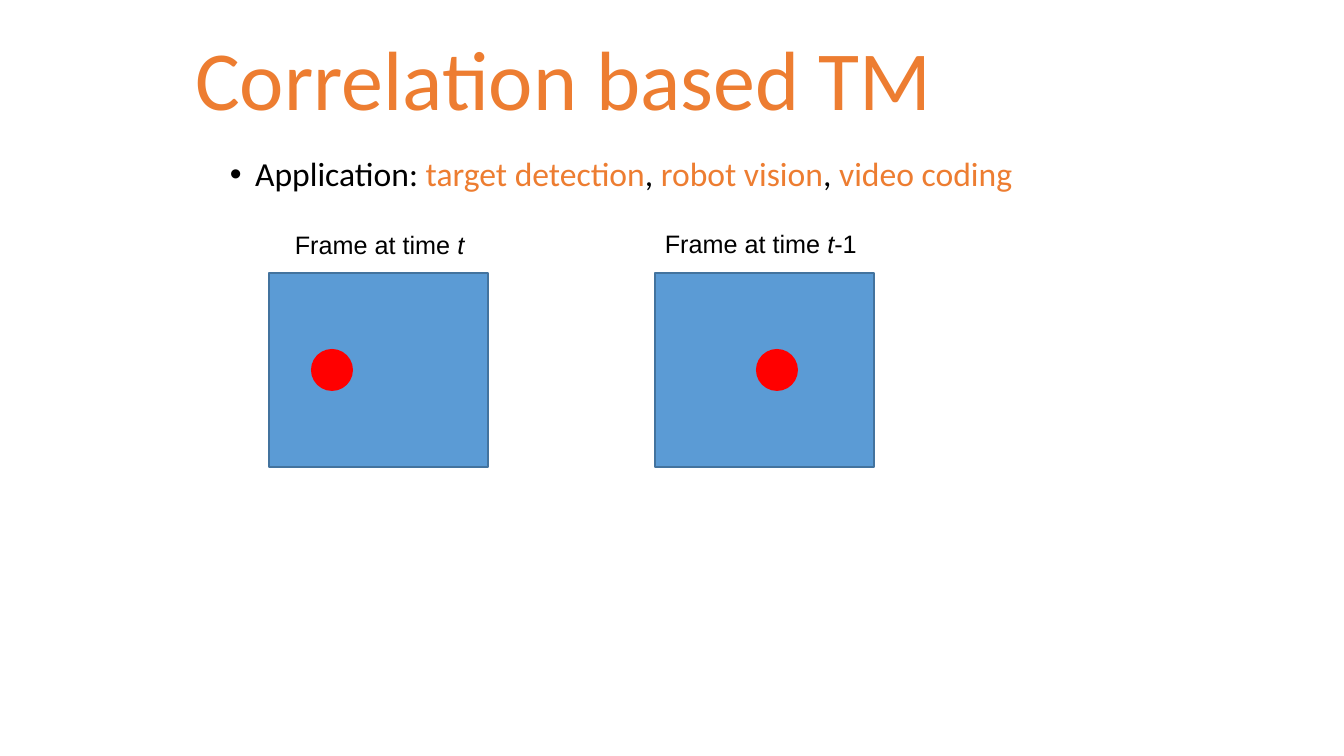
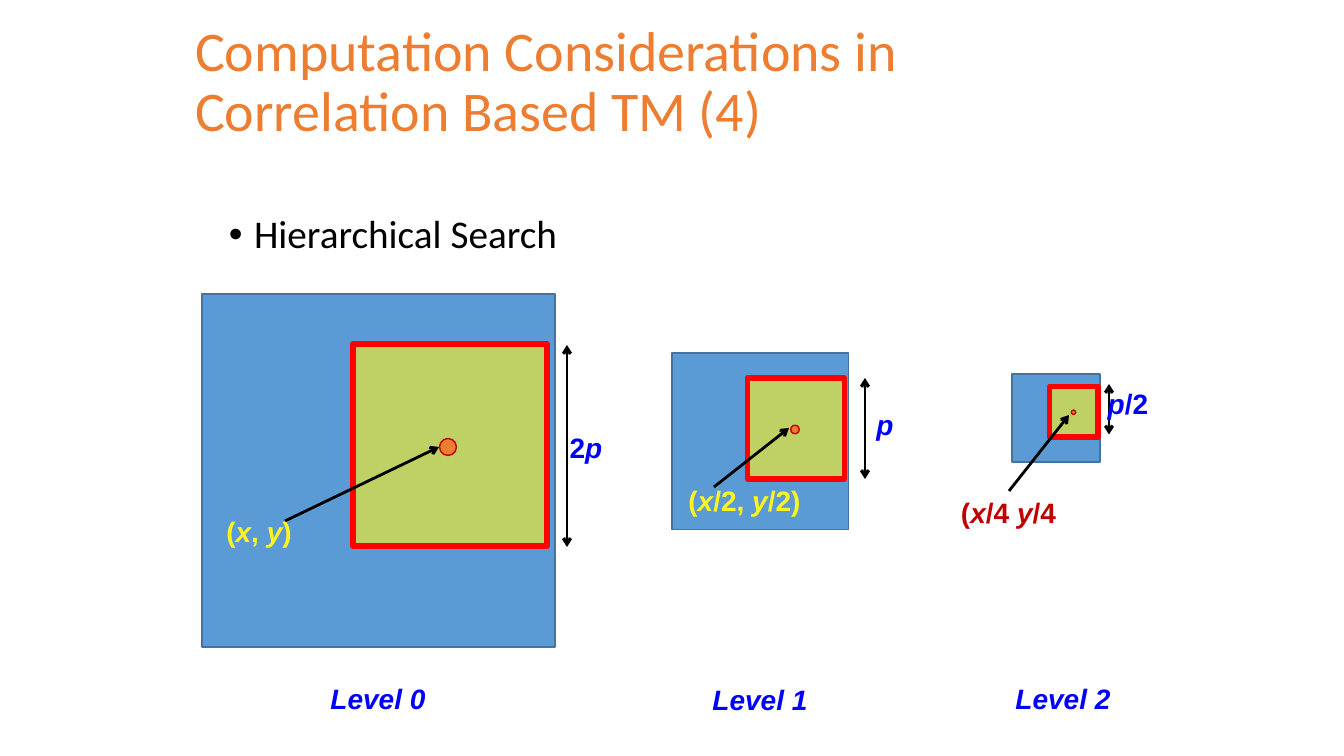
from lxml import etree
from pptx import Presentation
from pptx.dml.color import RGBColor
from pptx.enum.shapes import MSO_CONNECTOR, MSO_SHAPE
from pptx.enum.text import MSO_ANCHOR, MSO_AUTO_SIZE, PP_ALIGN
from pptx.oxml.ns import qn
from pptx.util import Emu, Pt

SCALE = 914400 / 100.8
RECT, OVAL = MSO_SHAPE.RECTANGLE, MSO_SHAPE.OVAL
LINE = MSO_CONNECTOR.STRAIGHT
LEFT, MID, JUST = PP_ALIGN.LEFT, PP_ALIGN.CENTER, PP_ALIGN.JUSTIFY

BLACK, ORANGE, RED = "000000", "ED7D31", "FF0000"
SKY, EDGE = "5B9BD5", "43739E"
YELLOW, MAROON, BLUE = "FFF41D", "C00000", "0000FF"


def px(num):
    """Turn pixels into EMU."""
    return Emu(round(num * SCALE))


def box(*nums):
    """Turn several pixel lengths into EMU."""
    return [px(num) for num in nums]


def tint(code):
    """Turn a hex string into a colour."""
    return RGBColor.from_string(code)


def add_runs(para, text, size, color, font, bold=False, accent=None):
    """Add runs; parts between underscores get the accent colour, or italics."""
    for num, part in enumerate(text.split("_")):
        if not part:
            continue
        odd = num % 2 == 1
        run = para.add_run()
        run.text = part
        run.font.name = font
        run.font.size = Pt(size)
        run.font.bold = bold
        run.font.italic = odd and accent is None
        run.font.color.rgb = tint(accent if odd and accent else color)


def add_title(deck, text, size):
    """Add a title-only slide and set its title."""
    slide = deck.slides.add_slide(deck.slide_layouts[5])
    title = slide.shapes.title
    title.left, title.top, title.width, title.height = box(185, 33, 975, 101)
    frame = title.text_frame
    frame.auto_size = MSO_AUTO_SIZE.NONE
    frame.word_wrap = True
    frame.vertical_anchor = MSO_ANCHOR.MIDDLE
    para = frame.paragraphs[0]
    para.alignment = LEFT
    para.line_spacing = 0.9
    add_runs(para, text, size, ORANGE, "Calibri")
    return slide


def add_text(slide, place, align):
    """Add a wrapping text box and return its paragraph."""
    frame = slide.shapes.add_textbox(*box(*place)).text_frame
    frame.word_wrap = True
    para = frame.paragraphs[0]
    para.alignment = align
    return para


def add_label(slide, place, text, color):
    """Add a bold centred label."""
    add_runs(add_text(slide, place, MID), text, 20, color, "Arial", bold=True)


def add_bullet(slide, place, text, size):
    """Add a bulleted line with orange accents."""
    para = add_text(slide, place, JUST)
    para.line_spacing = 0.9
    para.space_before = Pt(10)
    props = para._p.get_or_add_pPr()
    props.set("marL", str(px(25.2)))
    props.set("indent", str(-px(25.2)))
    etree.SubElement(props, qn("a:buFont")).set("typeface", "Arial")
    etree.SubElement(props, qn("a:buChar")).set("char", "•")
    add_runs(para, text, size, BLACK, "Calibri", accent=ORANGE)


def add_form(slide, kind, place, fill, edge=None, width=1, alpha=None):
    """Add a filled shape, with an edge or a see-through fill if asked."""
    form = slide.shapes.add_shape(kind, *box(*place))
    form.shadow.inherit = False
    form.fill.solid()
    form.fill.fore_color.rgb = tint(fill)
    if alpha:
        color = form.fill._xPr.find(".//" + qn("a:srgbClr"))
        etree.SubElement(color, qn("a:alpha")).set("val", str(alpha * 1000))
    if edge:
        form.line.color.rgb = tint(edge)
        form.line.width = Pt(width)
    else:
        form.line.fill.background()


def add_arrow(slide, start, end, both=False):
    """Add a black arrow, with a head at the end or at both ends."""
    arrow = slide.shapes.add_connector(LINE, *box(*start, *end))
    arrow.line.color.rgb = tint(BLACK)
    arrow.line.width = Pt(2)
    stroke = arrow.line._get_or_add_ln()
    for tag in ("a:headEnd", "a:tailEnd") if both else ("a:tailEnd",):
        etree.SubElement(stroke, qn(tag)).set("type", "arrow")
    etree.SubElement(arrow._element.spPr, qn("a:effectLst"))


def add_frame(slide, left, ball, label, text):
    """Add a video frame with a red ball and a caption."""
    add_form(slide, RECT, (left, 273, 219, 194), SKY, EDGE)
    add_form(slide, OVAL, (ball, 349, 42, 42), RED)
    add_runs(add_text(slide, label, LEFT), text, 18, BLACK, "Arial")


def add_level(slide, step, left, top, tail, tip, span):
    """Add one search level; each step halves all its sizes."""
    part = 0.5 ** step
    side, dot = 353 * part, 17 * part
    add_form(slide, RECT, (left, top, side, side), SKY, EDGE)
    window = (left + 151 * part, top + 50 * part, 194 * part, 202 * part)
    add_form(slide, RECT, window, YELLOW, RED, 4, 61)
    spot = (left + 246 * part - dot / 2, top + 153 * part - dot / 2, dot, dot)
    add_form(slide, OVAL, spot, ORANGE, MAROON)
    add_arrow(slide, tail, tip)
    across, high = span
    add_arrow(slide, (across, high), (across, high + 202 * part), both=True)


def show_frames(deck):
    """Build the slide with two video frames."""
    slide = add_title(deck, "Correlation based TM", 60)
    add_bullet(slide, (220, 153, 905, 74),
               "Application: _target detection_, _robot vision_, _video coding_", 24)
    add_frame(slide, 269, 311, (285, 224, 202, 40), "Frame at time _t_")
    add_frame(slide, 655, 756, (655, 223, 219, 40), "Frame at time _t_-1")


def show_search(deck):
    """Build the slide with three search levels."""
    slide = add_title(
        deck, "Computation Considerations in Correlation Based TM (4)", 40)
    add_bullet(slide, (219, 210, 905, 68), "Hierarchical Search", 28)
    levels = [
        (202, 294, (285, 521), (439, 447), (567, 345)),
        (672, 353, (714, 487), (789, 428), (865, 378)),
        (1012, 374, (1009, 491), (1069, 415), (1109, 384)),
    ]
    for step, level in enumerate(levels):
        add_level(slide, step, *level)
    labels = [
        (202, 510, 114, "(_x_, _y_)", YELLOW),
        (667, 479, 155, "(_x_/2, _y_/2)", YELLOW),
        (931, 491, 155, "(_x_/4 _y_/4", MAROON),
        (554, 426, 64, "2_p_", BLUE),
        (853, 403, 64, "_p_", BLUE),
        (1096, 382, 64, "_p_/2", BLUE),
        (281, 677, 194, "_Level 0_", BLUE),
        (663, 678, 194, "_Level 1_", BLUE),
        (966, 677, 194, "_Level 2_", BLUE),
    ]
    for left, top, width, text, color in labels:
        add_label(slide, (left, top, width, 44), text, color)


def main():
    """Build and save the deck."""
    deck = Presentation()
    deck.slide_width, deck.slide_height = box(1344, 756)
    show_frames(deck)
    show_search(deck)
    deck.save("out.pptx")


main()
